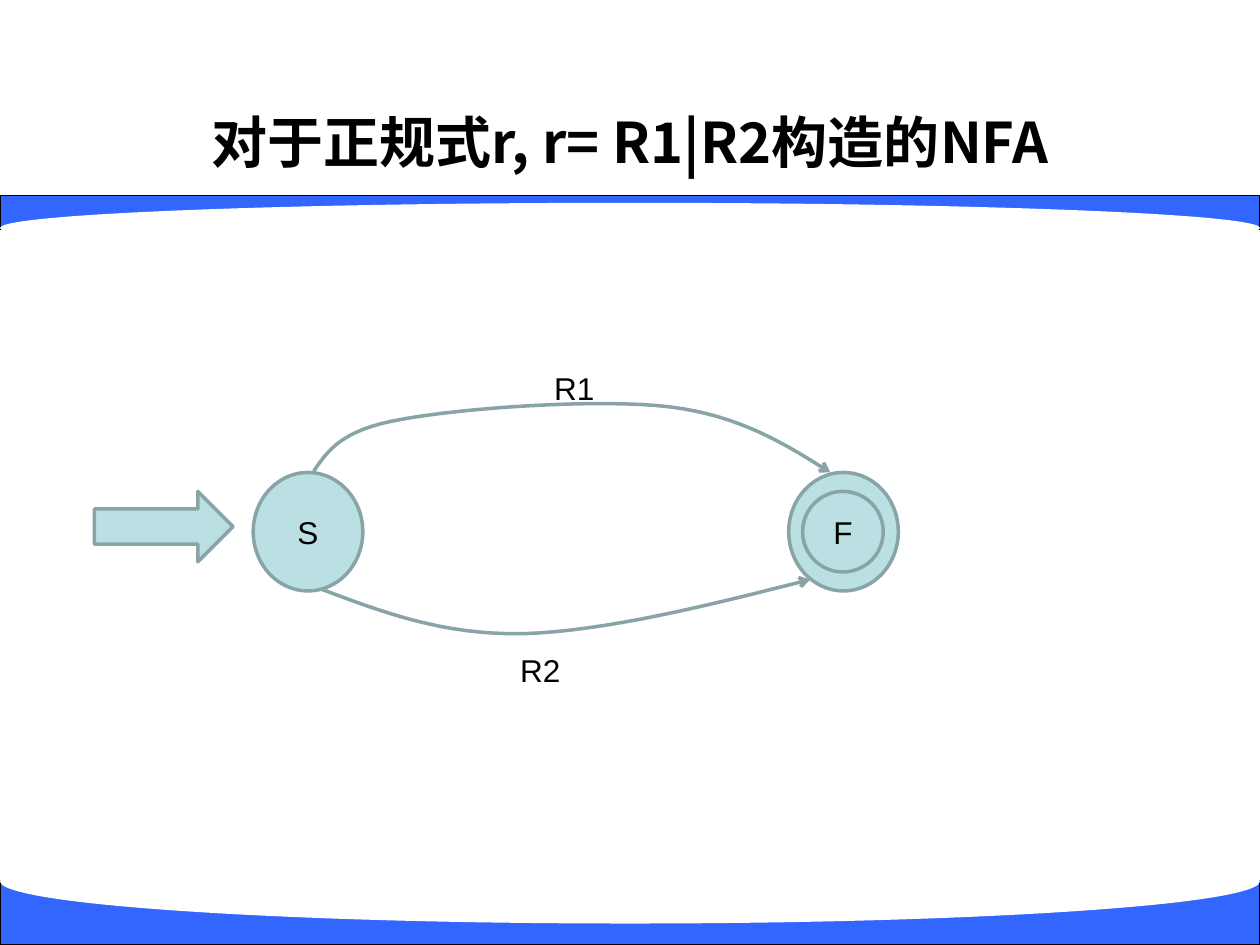
from lxml.etree import SubElement
from pptx import Presentation
from pptx.dml.color import RGBColor
from pptx.enum.shapes import MSO_SHAPE
from pptx.enum.text import MSO_ANCHOR, MSO_AUTO_SIZE, PP_ALIGN
from pptx.oxml.ns import qn
from pptx.util import Inches, Pt

COLORS = {
    "band": "3366FF",
    "paper": "FFFFFF",
    "ink": "000000",
    "node": "BBE0E3",
    "edge": "89A4A7",
}
STEPS = 16  # line segments per curve piece


def color(name):
    return RGBColor.from_string(COLORS[name])


def set_font(frame, size, face, bold=False):
    for run in frame.paragraphs[0].runs:
        font = run.font
        font.size, font.name, font.bold = Pt(size), face, bold
        font.color.rgb = color("ink")
        ea = SubElement(run._r.get_or_add_rPr(), qn("a:ea"))
        ea.set("typeface", face)


def set_line(shape, name, width):
    shape.line.color.rgb = color(name)
    shape.line.width = Pt(width)


def add_shape(slide, kind, box, fill, line=None, width=2, text=""):
    shape = slide.shapes.add_shape(kind, *map(Inches, box))
    shape.shadow.inherit = False
    shape.fill.solid()
    shape.fill.fore_color.rgb = color(fill)
    if line:
        set_line(shape, line, width)
    else:
        shape.line.fill.background()
    if text:
        frame = shape.text_frame
        frame.text = text
        frame.vertical_anchor = MSO_ANCHOR.MIDDLE
        frame.paragraphs[0].alignment = PP_ALIGN.CENTER
        set_font(frame, 18, "Arial")
    return shape


def add_band(slide, bar, oval):
    add_shape(slide, MSO_SHAPE.RECTANGLE, bar, "band", "ink", 0.75)
    add_shape(slide, MSO_SHAPE.OVAL, oval, "paper")


def add_title(slide, text):
    title = slide.shapes.title
    title.left, title.top = Inches(0.75), Inches(0.76)
    title.width, title.height = Inches(8.5), Inches(0.68)
    frame = title.text_frame
    frame.text = text
    frame.auto_size = MSO_AUTO_SIZE.NONE
    frame.vertical_anchor = MSO_ANCHOR.BOTTOM
    frame.paragraphs[0].alignment = PP_ALIGN.CENTER
    set_font(frame, 32, "Noto Sans CJK SC", True)


def add_state(slide, left, text=""):
    box = (left, 3.75, 0.87, 0.94)
    add_shape(slide, MSO_SHAPE.OVAL, box, "node", "edge", text=text)


def bezier(a, b, c, d, t):
    s = 1 - t
    return tuple(
        Inches(s**3 * w + 3 * s * s * t * x + 3 * s * t * t * y + t**3 * z)
        for w, x, y, z in zip(a, b, c, d)
    )


def add_curve(slide, knots):
    """Draw an arrow through cubic pieces: start, then two handles and an end each."""
    dots = [
        bezier(*knots[i:i + 4], step / STEPS)
        for i in range(0, len(knots) - 1, 3)
        for step in range(1, STEPS + 1)
    ]
    form = slide.shapes.build_freeform(*map(Inches, knots[0]))
    form.add_line_segments(dots, close=False)
    curve = form.convert_to_shape()
    curve.shadow.inherit = False
    curve.fill.background()
    set_line(curve, "edge", 2)
    SubElement(curve.line._get_or_add_ln(), qn("a:tailEnd")).set("type", "arrow")


def add_label(slide, left, top, text):
    box = slide.shapes.add_textbox(*map(Inches, (left, top, 0.52, 0.4)))
    frame = box.text_frame
    frame.text = text
    frame.word_wrap = False
    frame.auto_size = MSO_AUTO_SIZE.SHAPE_TO_FIT_TEXT
    set_font(frame, 18, "Arial")


def main():
    deck = Presentation()
    deck.slide_width, deck.slide_height = Inches(10), Inches(7.5)
    slide = deck.slides.add_slide(deck.slide_layouts[5])

    # Curved bands and title
    add_band(slide, (0, 1.55, 10, 0.27), (0, 1.61, 10, 0.4))
    add_band(slide, (0, 6.99, 10, 0.51), (0, 6.66, 10, 0.67))
    add_title(slide, "对于正规式r, r= R1|R2构造的NFA")

    # Start state, final state and entry arrow
    add_state(slide, 2.01, "S")
    add_state(slide, 6.26)
    add_shape(slide, MSO_SHAPE.OVAL, (6.37, 3.9, 0.64, 0.64),
              "node", "edge", text="F")
    add_shape(slide, MSO_SHAPE.RIGHT_ARROW, (0.75, 3.9, 1.1, 0.56),
              "node", "edge")

    # Transitions
    add_curve(slide, [(2.49, 3.74), (2.6, 3.58), (2.71, 3.41), (3.18, 3.33),
                      (3.65, 3.24), (4.75, 3.16), (5.32, 3.23),
                      (5.88, 3.3), (6.24, 3.53), (6.59, 3.75)])
    add_curve(slide, [(2.56, 4.68), (3.04, 4.86), (3.51, 5.04), (4.15, 5.03),
                      (4.8, 5.01), (5.61, 4.81), (6.43, 4.6)])
    add_label(slide, 4.3, 2.88, "R1")
    add_label(slide, 4.03, 5.12, "R2")

    deck.save("out.pptx")


if __name__ == "__main__":
    main()
